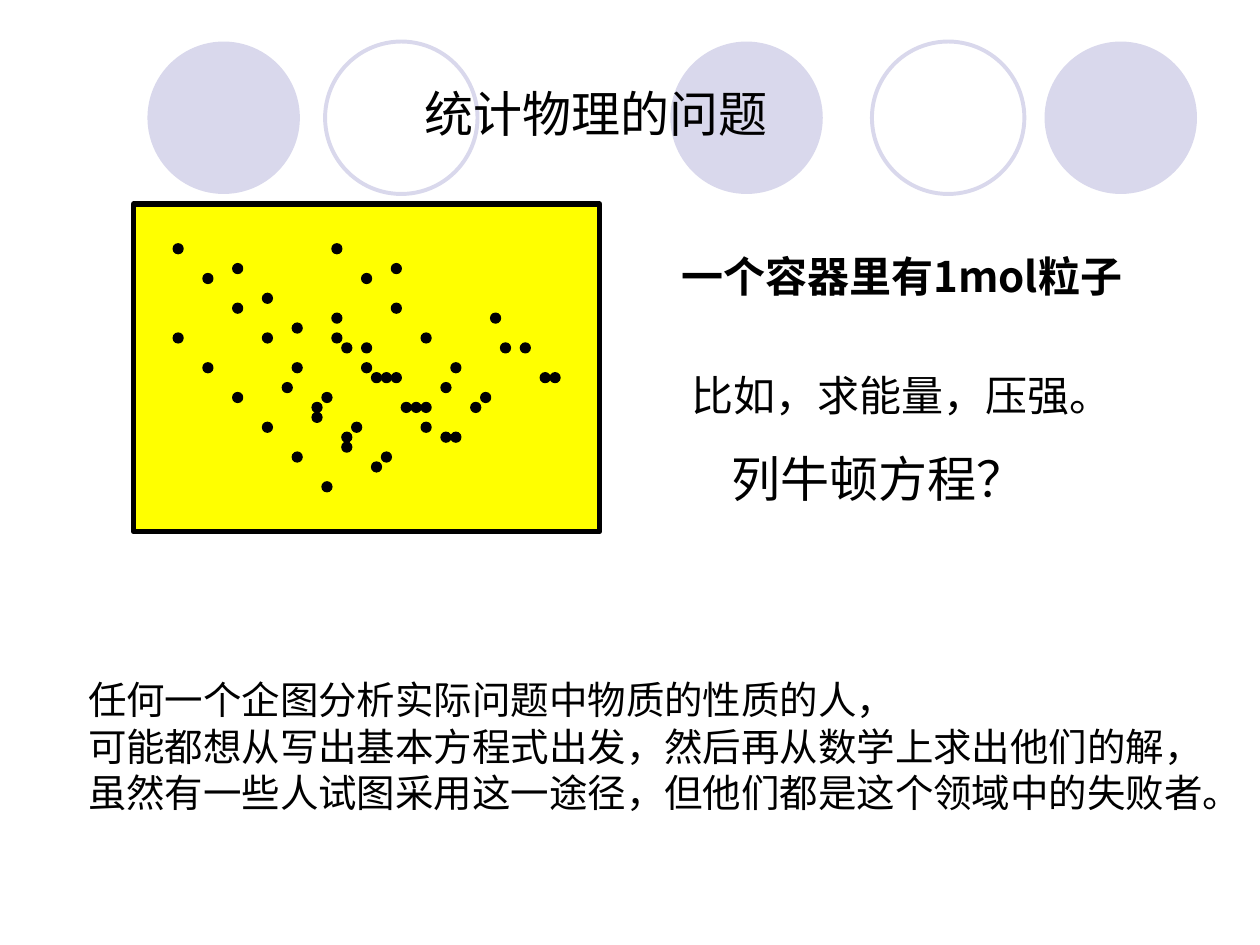
import pptx
import pptx.dml.color
import pptx.enum.shapes
import pptx.enum.text
import pptx.oxml.ns
import pptx.util
from lxml import etree

Inches = pptx.util.Inches
Pt = pptx.util.Pt
LILAC = "D9D8EC"
BLACK = "000000"
YELLOW = "FFFF00"
DOT_COLUMNS_BY_ROW = {
    4: (4, 20), 6: (10, 26), 7: (7, 23), 9: (13,), 10: (10, 26),
    11: (20, 36), 12: (16,), 13: (4, 13, 20, 29), 14: (21, 23, 37, 39),
    16: (7, 16, 23, 32), 17: (24, 25, 26, 41, 42), 18: (15, 31),
    19: (10, 19, 35), 20: (18, 27, 28, 29, 34), 21: (18,),
    22: (13, 22, 29), 23: (21, 31, 32), 24: (21,), 25: (16, 25),
    26: (24,), 28: (19,),
}


def color(value):
    """Turn a hex string into a colour."""
    return pptx.dml.color.RGBColor.from_string(value)


def add_shape(shapes, kind, box, fill=None, line=None, width=0.75):
    """Add a flat preset shape with an optional fill and outline."""
    sp = shapes.add_shape(kind, *box)
    sp.shadow.inherit = False
    if fill:
        sp.fill.solid()
        sp.fill.fore_color.rgb = color(fill)
    else:
        sp.fill.background()
    if line:
        sp.line.color.rgb = color(line)
        sp.line.width = Pt(width)
    else:
        sp.line.fill.background()
    return sp


def write_text(sp, lines, size, font="Arial", bold=False, before=0, wrap=True):
    """Write left-aligned paragraphs from the top of a text shape."""
    tf = sp.text_frame
    tf.word_wrap = wrap
    tf.auto_size = pptx.enum.text.MSO_AUTO_SIZE.NONE
    tf.vertical_anchor = pptx.enum.text.MSO_ANCHOR.TOP
    for i, line in enumerate(lines):
        p = tf.add_paragraph() if i else tf.paragraphs[0]
        p.alignment = pptx.enum.text.PP_ALIGN.LEFT
        p.space_before = Pt(before)
        r = p.add_run()
        r.text = line
        r.font.name = font
        r.font.size = Pt(size)
        r.font.bold = bold
        r.font.color.rgb = color(BLACK)
        ea = etree.SubElement(r.font._element, pptx.oxml.ns.qn("a:ea"))
        ea.set("typeface", "Noto Sans CJK SC")


def add_circle_band(s, left, top, size):
    """Draw the row of filled and outlined circles."""
    shapes = s.shapes.add_group_shape().shapes
    oval = pptx.enum.shapes.MSO_SHAPE.OVAL
    for offset, filled in ((0, True), (1.41, False), (4.15, True),
                           (5.75, False), (7.12, True)):
        box = (left + Inches(offset), top, size, size)
        if filled:
            add_shape(shapes, oval, box, fill=LILAC)
        else:
            add_shape(shapes, oval, box, line=LILAC, width=2.25)


def add_title(s, left, top, width, height):
    """Place the title above the circles."""
    sp = s.shapes.title
    sp.left, sp.top, sp.width, sp.height = left, top, width, height
    write_text(sp, ["统计物理的问题"], 28)
    sp.element.getparent().append(sp.element)


def add_container(s, left, top, width, height):
    """Draw the container and its particles on a fine grid."""
    shapes = s.shapes.add_group_shape().shapes
    kinds = pptx.enum.shapes.MSO_SHAPE
    add_shape(shapes, kinds.RECTANGLE, (left, top, width, height),
              YELLOW, BLACK, 3)
    step = width / 47
    for row, columns in DOT_COLUMNS_BY_ROW.items():
        for column in columns:
            box = (int(left + column * step), int(top + row * step),
                   int(step), int(step))
            add_shape(shapes, kinds.OVAL, box, BLACK, BLACK)


def add_questions(s, left, top):
    """Place the three statements beside the container."""
    for dx, dy, width, height, text, size, font, bold, before in (
        (0, 0, 3.78, 0.9, "一个容器里有1mol粒子", 24, "Noto Sans CJK SC", True, 15),
        (0.08, 0.94, 3.54, 0.5, "比如，求能量，压强。", 24, "Arial", False, 15),
        (0.4, 1.57, 2.68, 0.57, "列牛顿方程？", 28, "Arial", False, 17.5),
    ):
        sp = s.shapes.add_textbox(left + Inches(dx), top + Inches(dy),
                                  Inches(width), Inches(height))
        write_text(sp, [text], size, font, bold, before)


def add_conclusion(s, left, top, width, height):
    """Place the closing remark at the bottom."""
    sp = s.shapes.add_textbox(left, top, width, height)
    write_text(sp, ["任何一个企图分析实际问题中物质的性质的人，",
                    "可能都想从写出基本方程式出发，然后再从数学上求出他们的解，",
                    "虽然有一些人试图采用这一途径，但他们都是这个领域中的失败者。"],
               22, wrap=False)


def main():
    """Build and save the slide."""
    prs = pptx.Presentation()
    prs.slide_width, prs.slide_height = Inches(10), Inches(7.5)
    s = prs.slides.add_slide(prs.slide_layouts[5])
    add_circle_band(s, Inches(1.17), Inches(0.33), Inches(1.21))
    add_title(s, Inches(3.27), Inches(0.61), Inches(3.94), Inches(0.57))
    add_container(s, Inches(1.06), Inches(1.62), Inches(3.7), Inches(2.6))
    add_questions(s, Inches(5.31), Inches(1.94))
    add_conclusion(s, Inches(0.6), Inches(5.32), Inches(9.35), Inches(1.2))
    prs.save("out.pptx")


if __name__ == "__main__":
    main()
